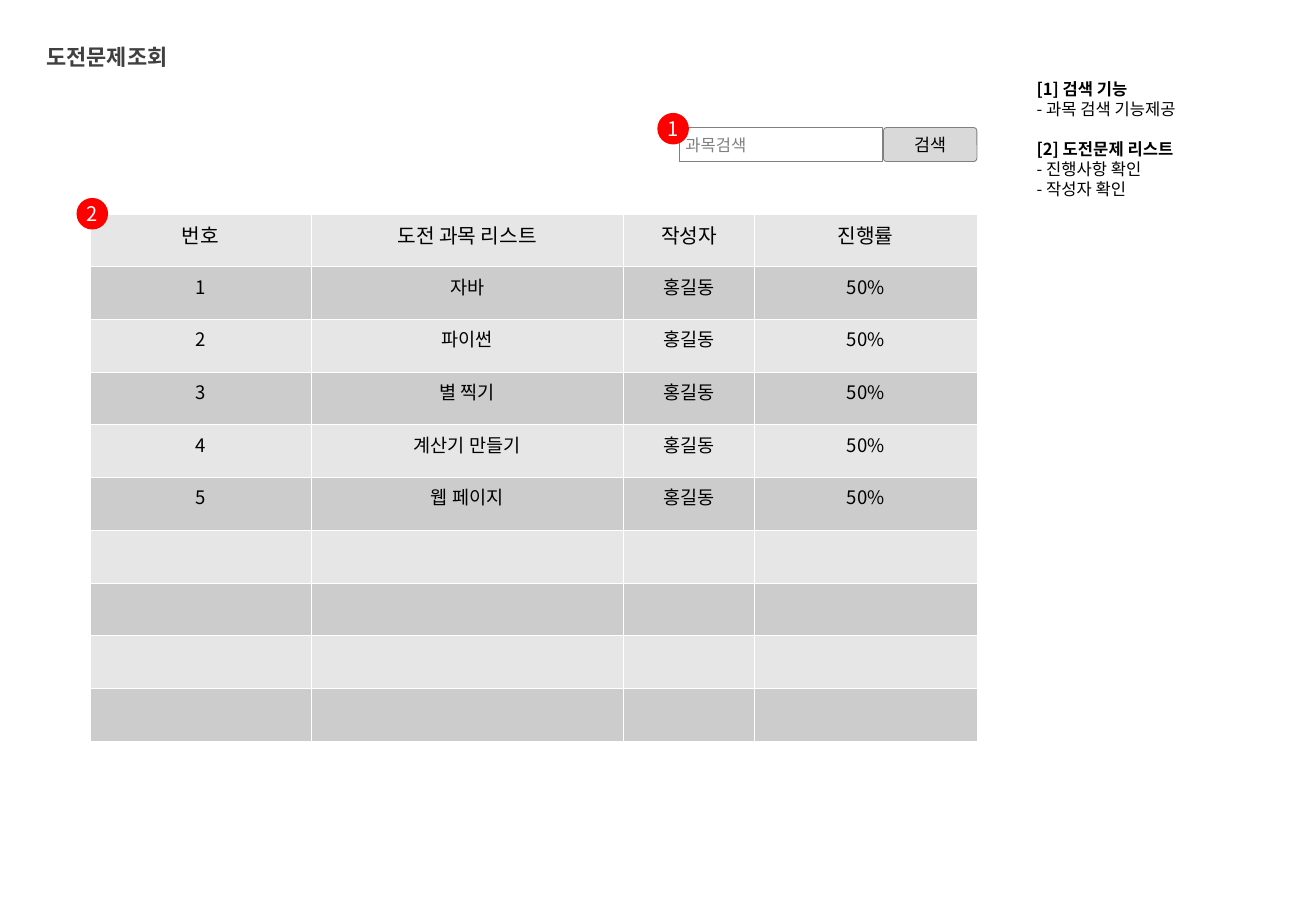
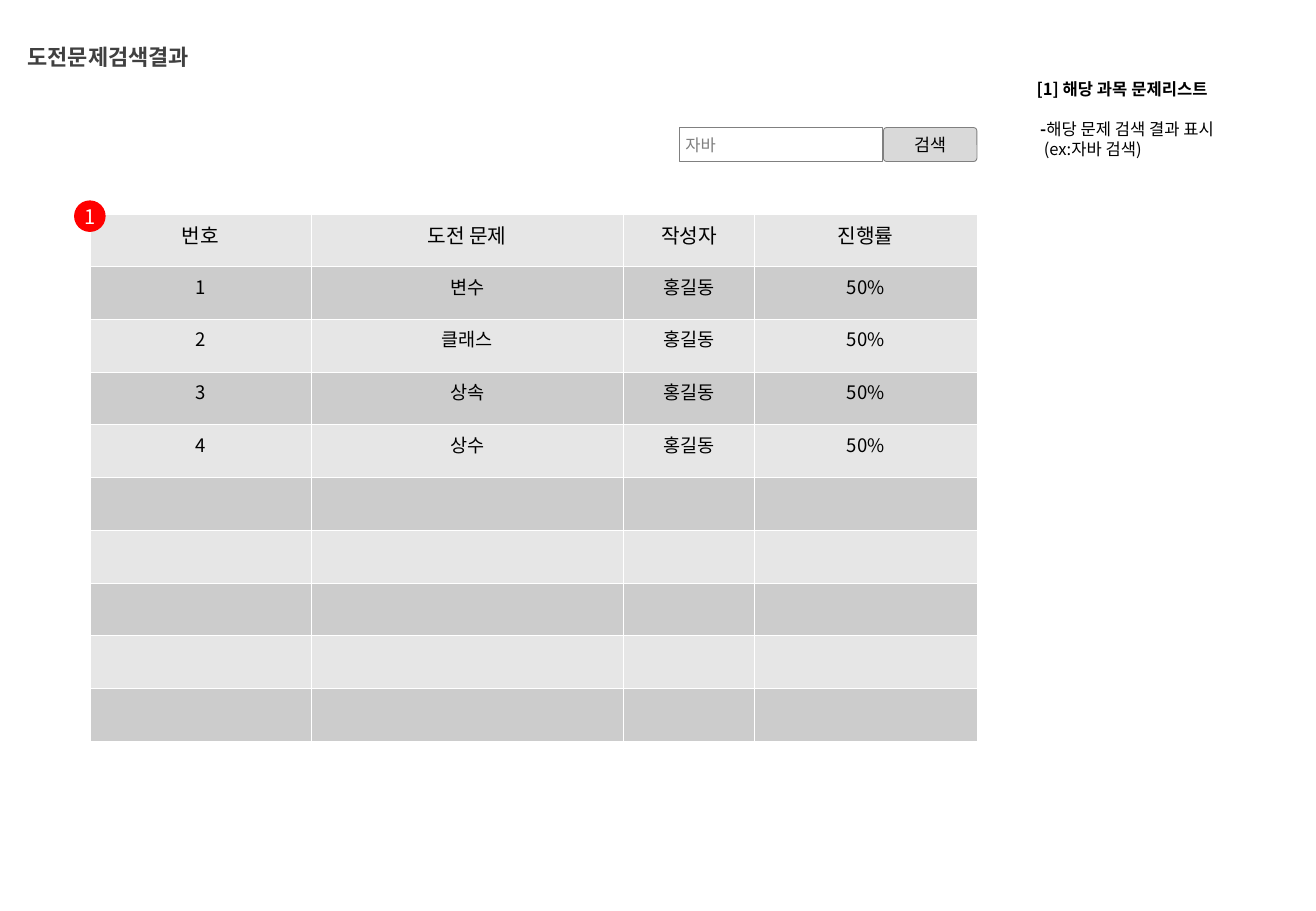
from lxml.etree import SubElement
from pptx import Presentation
from pptx.dml.color import RGBColor
from pptx.enum.shapes import MSO_SHAPE as Shape
from pptx.enum.text import MSO_ANCHOR as Anchor, MSO_AUTO_SIZE as AutoSize, PP_ALIGN as Align
from pptx.oxml.ns import qn
from pptx.util import Inches, Pt

# Shared style
FONT = "Noto Sans CJK KR"
BLACK = RGBColor(0x00, 0x00, 0x00)
WHITE = RGBColor(0xFF, 0xFF, 0xFF)
RED = RGBColor(0xFF, 0x00, 0x00)
DARK = RGBColor(0x40, 0x40, 0x40)
GRAY = RGBColor(0x80, 0x80, 0x80)
BUTTON = RGBColor(0xD9, 0xD9, 0xD9)
BANDS = (RGBColor(0xE6, 0xE6, 0xE6), RGBColor(0xCC, 0xCC, 0xCC))
NOTE_LINE = Pt(11.86)

# Table layout
COLUMN_WIDTHS = (1.82, 2.57, 1.08, 1.83)
ROW_COUNT = 10
TABLE_LEFT, TABLE_TOP, TABLE_HEIGHT = 0.74, 1.76, 4.34
BADGE_SIZE = 0.26

# Content: a note is (spans, indent, blank line before), a span is (text, bold)
PAGES = [
    {
        "title": "도전문제조회", "title_left": 0.24, "title_width": 1.28,
        "search": "과목검색", "list_heading": "도전 과목 리스트",
        "items": ["자바", "파이썬", "별 찍기", "계산기 만들기", "웹 페이지"],
        "badges": [("1", 5.41, 0.93), ("2", 0.63, 1.63)],
        "notes": [
            ([("[1] 검색 기능", True)], 0, False),
            ([("- 과목 검색 기능제공", False)], 0, False),
            ([("[2] 도전문제 리스트", True)], 0, True),
            ([("- 진행사항 확인", False)], 0, False),
            ([("- 작성자 확인", False)], 0, False),
        ],
    },
    {
        "title": "도전문제검색결과", "title_left": 0.07, "title_width": 1.64,
        "search": "자바", "list_heading": "도전 문제",
        "items": ["변수", "클래스", "상속", "상수"],
        "badges": [("1", 0.61, 1.65)],
        "notes": [
            ([("[1] 해당 과목 문제리스트", True)], 0, False),
            ([("-", True), ("해당 문제 검색 결과 표시", False)], 0.03, True),
            ([("(ex:자바 검색)", False)], 0.06, False),
        ],
    },
]


def place(shape, left, top, width, height):
    shape.left, shape.top = Inches(left), Inches(top)
    shape.width, shape.height = Inches(width), Inches(height)


def style_span(span, size, color, bold=False):
    font = span.font
    font.size, font.bold, font.name = Pt(size), bold, FONT
    font.color.rgb = color
    SubElement(font._element, qn("a:ea"), typeface=FONT)


def set_text(frame, text, size, color, align=Align.CENTER, bold=False):
    frame.text = text
    para = frame.paragraphs[0]
    para.alignment = align
    for span in para.runs:
        style_span(span, size, color, bold)


def set_margins(frame, left, top, right, bottom):
    frame.margin_left, frame.margin_top = Inches(left), Inches(top)
    frame.margin_right, frame.margin_bottom = Inches(right), Inches(bottom)


def add_title(page, text, left, width):
    title = page.shapes.title
    place(title, left, 0.35, width, 0.31)
    frame = title.text_frame
    frame.auto_size, frame.word_wrap = AutoSize.NONE, False
    frame.vertical_anchor = Anchor.TOP
    set_margins(frame, 0.1, 0.01, 0.1, 0.04)
    set_text(frame, text, 13, DARK, bold=True)


def add_notes(page, notes):
    body = page.placeholders[1]
    place(body, 8.49, 0.35, 2.34, 7.14)
    frame = body.text_frame
    frame.auto_size, frame.word_wrap = AutoSize.NONE, True
    frame.vertical_anchor = Anchor.TOP
    set_margins(frame, 0.04, 0.3, 0.04, 0)
    for index, (spans, indent, gap) in enumerate(notes):
        para = frame.add_paragraph() if index else frame.paragraphs[0]
        props = para._p.get_or_add_pPr()
        props.set("marL", str(Inches(indent)))
        props.set("indent", "0")
        SubElement(props, qn("a:buNone"))
        para.line_spacing = NOTE_LINE
        para.space_before = NOTE_LINE if gap else Pt(0)
        for text, bold in spans:
            span = para.add_run()
            span.text = text
            style_span(span, 9.8, BLACK, bold)


def add_box(page, kind, bounds, text, size, color, fill=None, line=None,
            align=Align.CENTER, margin=0.05):
    box = page.shapes.add_shape(kind, *map(Inches, bounds))
    box.shadow.inherit = False
    if fill is None:
        box.fill.background()
    else:
        box.fill.solid()
        box.fill.fore_color.rgb = fill
    if line is None:
        box.line.fill.background()
    else:
        box.line.color.rgb, box.line.width = line, Pt(0.5)
    frame = box.text_frame
    frame.vertical_anchor = Anchor.MIDDLE
    set_margins(frame, *[margin] * 4)
    set_text(frame, text, size, color, align)
    return box


def add_search(page, text):
    add_box(page, Shape.RECTANGLE, (5.59, 1.05, 1.67, 0.28), text, 9.8, GRAY,
            line=GRAY, align=Align.LEFT)
    button = add_box(page, Shape.ROUNDED_RECTANGLE, (7.27, 1.05, 0.77, 0.28),
                     "검색", 10.3, BLACK, fill=BUTTON, line=GRAY)
    button.adjustments[0] = 0.1


def add_badge(page, number, left, top):
    badge = add_box(page, Shape.OVAL, (left, top, BADGE_SIZE, BADGE_SIZE),
                    number, 11.9, WHITE, fill=RED, margin=0)
    badge.text_frame.word_wrap = False


def set_borders(cell):
    props = cell._tc.get_or_add_tcPr()
    for side in ("lnL", "lnR", "lnT", "lnB"):
        line = SubElement(props, qn(f"a:{side}"), w=str(Pt(0.06)))
        fill = SubElement(line, qn("a:solidFill"))
        SubElement(fill, qn("a:srgbClr"), val=str(WHITE))


def add_list(page, heading, items):
    rows = [("번호", heading, "작성자", "진행률")]
    rows += [(str(number), item, "홍길동", "50%")
             for number, item in enumerate(items, 1)]
    table = page.shapes.add_table(
        ROW_COUNT, len(COLUMN_WIDTHS), Inches(TABLE_LEFT), Inches(TABLE_TOP),
        Inches(sum(COLUMN_WIDTHS)), Inches(TABLE_HEIGHT)).table
    table.first_row = table.horz_banding = False
    for column, width in zip(table.columns, COLUMN_WIDTHS):
        column.width = Inches(width)
    for r, row in enumerate(table.rows):
        row.height = Inches(TABLE_HEIGHT / ROW_COUNT)
        for c, cell in enumerate(row.cells):
            set_borders(cell)
            cell.fill.solid()
            cell.fill.fore_color.rgb = BANDS[r % 2]
            if r < len(rows):
                set_text(cell.text_frame, rows[r][c], 11 if r else 12, BLACK)


def main():
    deck = Presentation()
    deck.slide_width, deck.slide_height = Inches(10.83), Inches(7.5)
    for content in PAGES:
        page = deck.slides.add_slide(deck.slide_layouts[1])
        add_title(page, content["title"], content["title_left"], content["title_width"])
        add_notes(page, content["notes"])
        add_search(page, content["search"])
        add_list(page, content["list_heading"], content["items"])
        for badge in content["badges"]:
            add_badge(page, *badge)
    deck.save("out.pptx")


if __name__ == "__main__":
    main()
